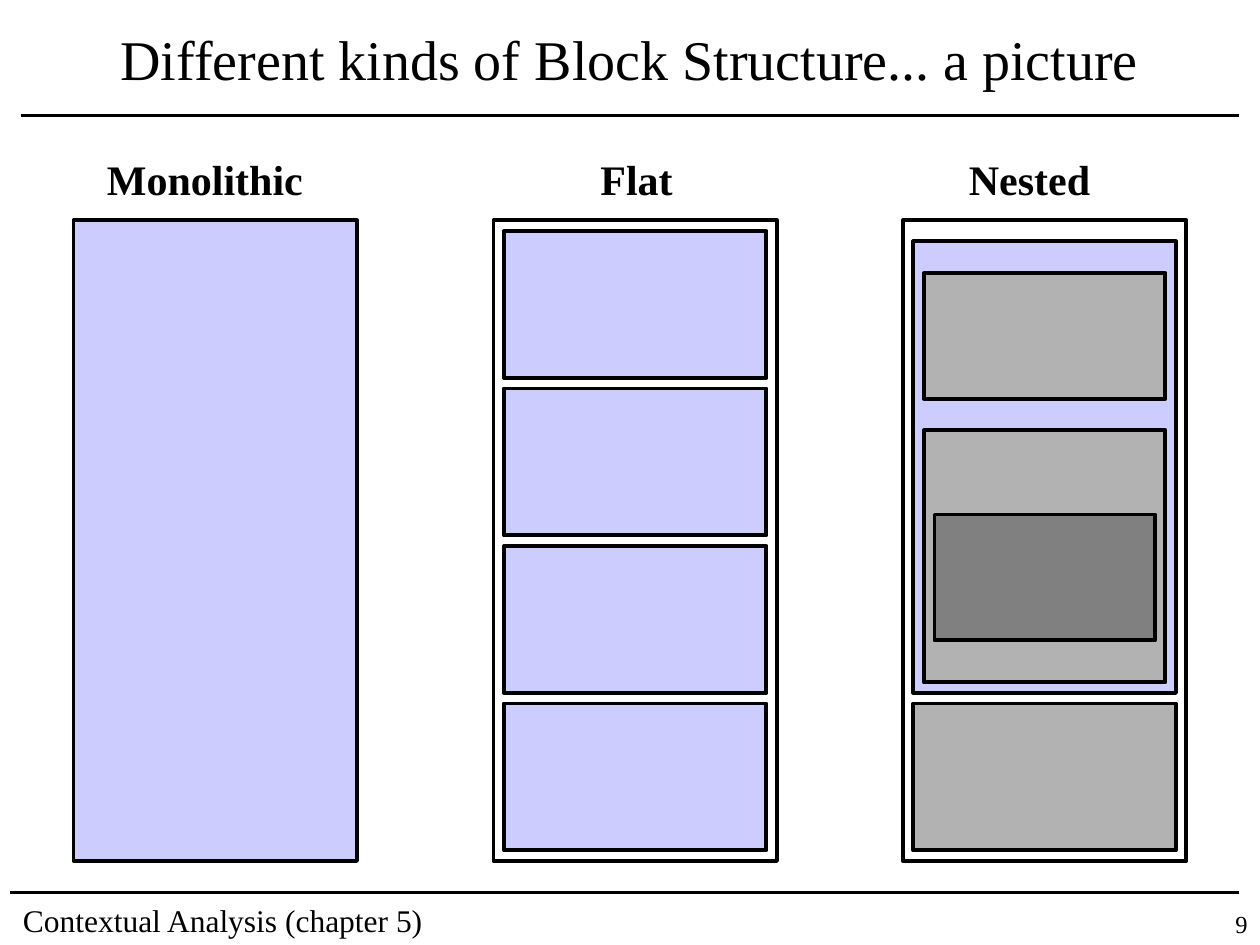
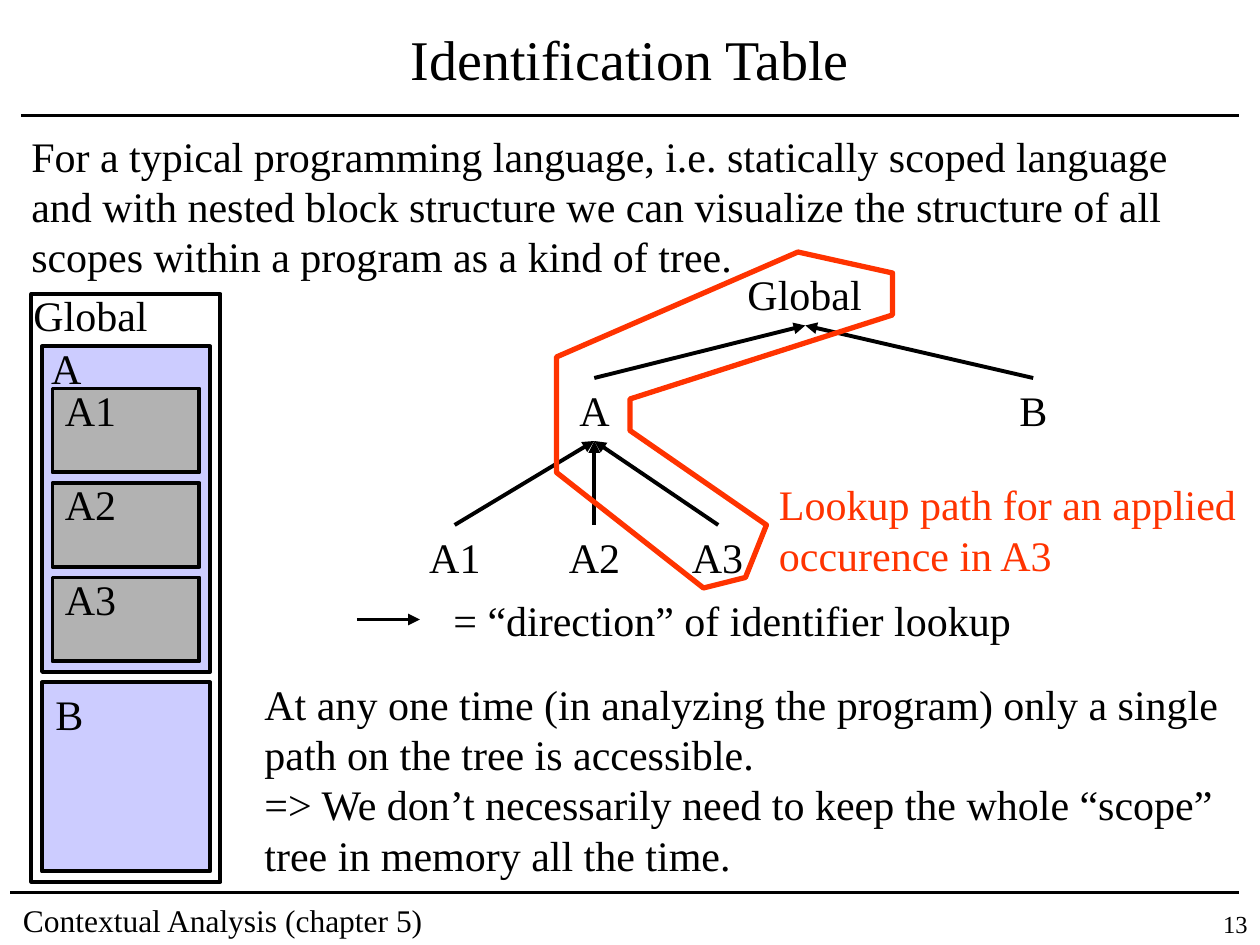
"""Build two slides on block structure and the identification table."""
from lxml import etree
from pptx import Presentation
from pptx.dml.color import RGBColor
from pptx.enum.shapes import MSO_CONNECTOR, MSO_SHAPE
from pptx.enum.text import MSO_ANCHOR, MSO_AUTO_SIZE, PP_ALIGN
from pptx.oxml.ns import qn
from pptx.util import Emu, Pt

PX = 7620
LEFT, CENTER, RIGHT = PP_ALIGN.LEFT, PP_ALIGN.CENTER, PP_ALIGN.RIGHT
TOP, MIDDLE = MSO_ANCHOR.TOP, MSO_ANCHOR.MIDDLE
NO_AUTOFIT = MSO_AUTO_SIZE.NONE
STRAIGHT, RECTANGLE = MSO_CONNECTOR.STRAIGHT, MSO_SHAPE.RECTANGLE
COLORS = {
    "ink": "000000",
    "paper": "FFFFFF",
    "lavender": "CCCCFF",
    "silver": "B2B2B2",
    "gray": "808080",
    "path": "FF3300",
}
LABEL_WIDTHS = {"Global": 133, "A": 53, "B": 50, "A1": 73, "A2": 73, "A3": 73}


class Deck:
    """Hold the shared style and the current page."""

    def __init__(self):
        self.deck = Presentation()
        self.deck.slide_width, self.deck.slide_height = self.emu(1200, 900)
        self.page = None

    @staticmethod
    def emu(*lengths):
        """Turn px lengths into EMU."""
        return [Emu(length * PX) for length in lengths]

    @staticmethod
    def color(name):
        """Look up a colour by name."""
        return RGBColor.from_string(COLORS[name])

    def new_page(self, title, number):
        """Start a page with its title, rules and footer."""
        self.page = self.deck.slides.add_slide(self.deck.slide_layouts[5])
        box = self.page.shapes.title
        box.left, box.top, box.width, box.height = self.emu(30, 10, 1140, 90)
        self.fill_text(box, [title], size=32, align=CENTER, anchor=MIDDLE)
        self.line((20, 110), (1180, 110))
        self.line((10, 850), (1180, 850))
        self.text("Contextual Analysis (chapter 5)", 10, 852, 460, 48, size=18)
        self.text(str(number), 1110, 860, 90, 40, size=14, align=RIGHT)

    def fill_text(self, box, lines, size=24, color="ink", bold=False,
                  align=LEFT, anchor=TOP, wrap=True):
        """Fill a box with formatted paragraphs."""
        frame = box.text_frame
        frame_format = {"word_wrap": wrap, "auto_size": NO_AUTOFIT,
                        "vertical_anchor": anchor}
        for name, value in frame_format.items():
            setattr(frame, name, value)
        font_format = {"name": "Times New Roman", "size": Pt(size), "bold": bold}
        for index, line in enumerate(lines):
            para = frame.add_paragraph() if index else frame.paragraphs[0]
            para.alignment = align
            span = para.add_run()
            span.text = line
            for name, value in font_format.items():
                setattr(span.font, name, value)
            span.font.color.rgb = self.color(color)

    def text(self, content, left, top, width, height=60, **style):
        """Add a text box holding one string or a list of paragraphs."""
        box = self.page.shapes.add_textbox(*self.emu(left, top, width, height))
        lines = [content] if isinstance(content, str) else content
        self.fill_text(box, lines, **style)

    def label(self, content, left, top):
        """Add a one-line scope name."""
        self.text(content, left, top, LABEL_WIDTHS[content], wrap=False)

    def stroke(self, shape, color="ink", weight=2.25):
        """Set the outline of a shape or connector."""
        shape.line.color.rgb = self.color(color)
        shape.line.width = Pt(weight)

    def block(self, fill, left, top, width, height):
        """Add an outlined rectangle."""
        box = self.page.shapes.add_shape(
            RECTANGLE, *self.emu(left, top, width, height))
        box.shadow.inherit = False
        box.fill.solid()
        box.fill.fore_color.rgb = self.color(fill)
        self.stroke(box)

    def line(self, start, end, arrow=False):
        """Add a straight line, with an arrowhead at its end if asked."""
        connector = self.page.shapes.add_connector(
            STRAIGHT, *self.emu(*start, *end))
        self.stroke(connector)
        properties = connector._element.spPr
        if arrow:
            outline = properties.find(qn("a:ln"))
            etree.SubElement(outline, qn("a:tailEnd"), type="triangle")
        etree.SubElement(properties, qn("a:effectLst"))

    def outline(self, points, color, weight):
        """Add a closed, unfilled polygon."""
        builder = self.page.shapes.build_freeform(*points[0], scale=PX)
        builder.add_line_segments(points[1:], close=True)
        polygon = builder.convert_to_shape()
        polygon.shadow.inherit = False
        polygon.fill.background()
        self.stroke(polygon, color, weight)


def block_structures(deck):
    """Show monolithic, flat and nested blocks side by side."""
    deck.new_page("Different kinds of Block Structure... a picture", 9)
    columns = [
        ("Monolithic", 90, 210, 70, "lavender"),
        ("Flat", 560, 92, 470, "paper"),
        ("Nested", 911, 139, 860, "paper"),
    ]
    for heading, heading_left, heading_width, left, fill in columns:
        deck.text(heading, heading_left, 140, heading_width, bold=True, wrap=False)
        deck.block(fill, left, 210, 270, 610)
    for row in range(4):
        deck.block("lavender", 480, 220 + 150 * row, 250, 140)
    nested_blocks = [
        ("lavender", 870, 230, 250, 430),
        ("silver", 870, 670, 250, 140),
        ("silver", 880, 260, 230, 120),
        ("silver", 880, 410, 230, 240),
        ("gray", 890, 490, 210, 120),
    ]
    for nested_block in nested_blocks:
        deck.block(*nested_block)


def identification_table(deck):
    """Show nested scopes, their tree and one lookup path."""
    deck.new_page("Identification Table", 13)
    deck.text("For a typical programming language, i.e. statically scoped "
              "language and with nested block structure we can visualize the "
              "structure of all scopes within a program as a kind of tree.",
              18, 118, 1152, 156)

    deck.block("paper", 30, 280, 180, 560)
    deck.block("lavender", 40, 330, 160, 310)
    deck.block("lavender", 40, 650, 160, 180)
    for row, scope in enumerate(["A1", "A2", "A3"]):
        deck.block("silver", 50, 370 + 90 * row, 140, 80)
        deck.label(scope, 50, 360 + 90 * row)
    for scope, left, top in [("Global", 20, 270), ("A", 37, 320), ("B", 41, 650)]:
        deck.label(scope, left, top)

    tree_labels = [
        ("Global", 700, 250), ("A", 540, 360), ("B", 959, 360),
        ("A1", 397, 500), ("A2", 530, 500), ("A3", 647, 500),
    ]
    for tree_label in tree_labels:
        deck.label(*tree_label)
    for child_x in (566, 984):
        deck.line((child_x, 360), (767, 310), arrow=True)
    for child_x in (433, 566, 684):
        deck.line((child_x, 500), (566, 420), arrow=True)

    deck.text("= “direction” of identifier lookup", 420, 560, 700)
    deck.text("Lookup path for an applied occurence in A3",
              730, 450, 460, 108, color="path")
    deck.text(["At any one time (in analyzing the program) only a single path "
               "on the tree is accessible.",
               "=> We don’t necessarily need to keep the whole “scope” tree "
               "in memory all the time."], 240, 640, 940, 204)
    lookup_path = [
        (710, 550), (730, 500), (600, 410), (600, 380), (850, 300),
        (850, 260), (760, 240), (530, 340), (530, 450), (670, 560),
    ]
    deck.outline(lookup_path, "path", 3)
    deck.line((340, 590), (400, 590), arrow=True)


def main():
    """Build and save the deck."""
    deck = Deck()
    block_structures(deck)
    identification_table(deck)
    deck.deck.save("out.pptx")


if __name__ == "__main__":
    main()
